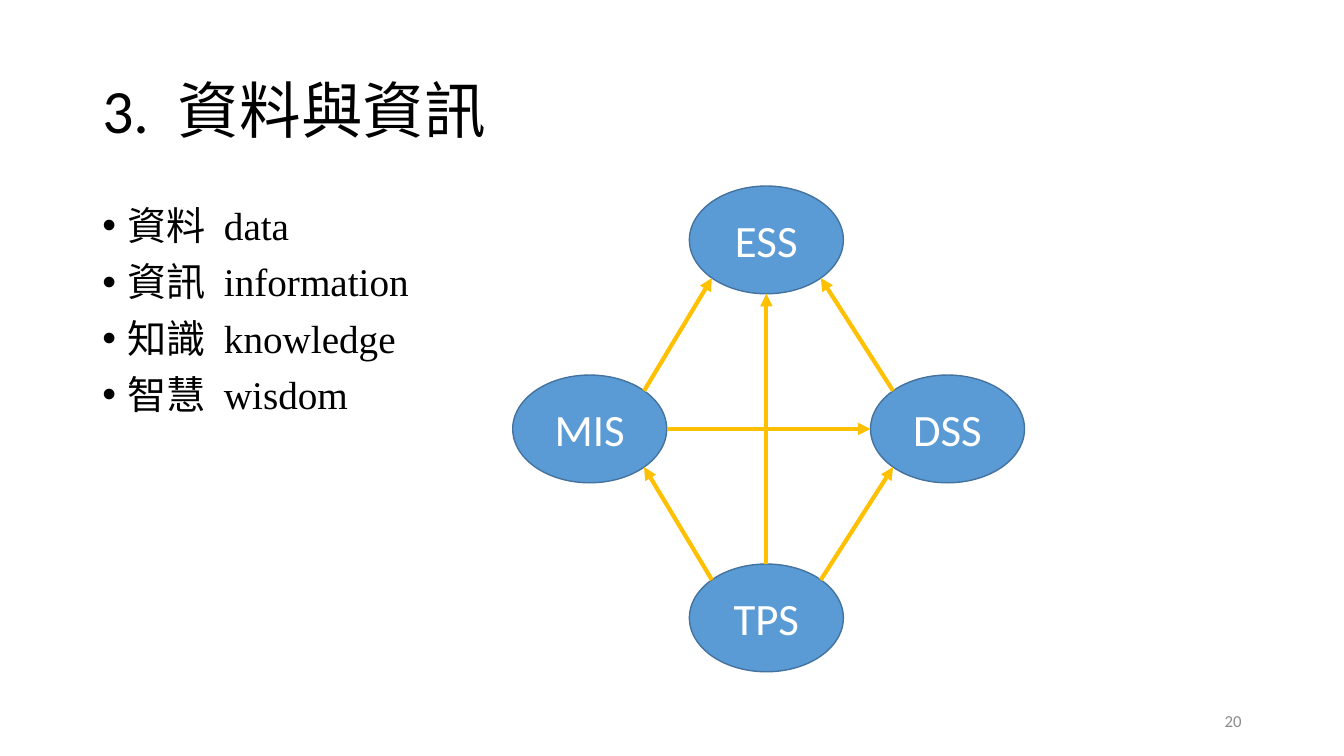
from dataclasses import dataclass
from math import hypot

from lxml.etree import SubElement
from pptx import Presentation
from pptx.dml.color import RGBColor
from pptx.enum.shapes import MSO_CONNECTOR as CONN, MSO_SHAPE as SHAPE
from pptx.enum.text import MSO_ANCHOR as ANCHOR, PP_ALIGN as ALIGN
from pptx.oxml.ns import qn
from pptx.util import Pt


@dataclass(frozen=True)
class Theme:
    sans: str = "Calibri"
    serif: str = "Times New Roman"
    ink: str = "000000"
    muted: str = "8C8C8C"
    white: str = "FFFFFF"
    node: str = "5B9BD5"
    node_edge: str = "43739E"
    arrow: str = "FFC000"
    title: int = 44
    body: int = 28
    label: int = 32
    small: int = 12


T = Theme()
NODE_W, NODE_H = 110, 77

# Centre of each system in the diagram
SYSTEMS = {
    "TPS": (547.4, 441.4),
    "ESS": (547.4, 171.4),
    "DSS": (676.8, 306.4),
    "MIS": (421.2, 306.4),
}

# Start system, end system, direction of the arrow (x, y)
FLOWS = [
    ("MIS", "DSS", (1, 0)),
    ("MIS", "ESS", (1, -1)),
    ("DSS", "ESS", (-1, -1)),
    ("TPS", "MIS", (-1, -1)),
    ("TPS", "ESS", (0, -1)),
    ("TPS", "DSS", (1, -1)),
]

TERMS = [("資料", "data"), ("資訊", "information"),
         ("知識", "knowledge"), ("智慧", "wisdom")]


def set_all(obj, values):
    for name, value in values.items():
        setattr(obj, name, value)


def add_run(p, text, font, size, color, tracking=0):
    r = p.add_run()
    r.text = text
    set_all(r.font, {"name": font, "size": Pt(size)})
    r.font.color.rgb = RGBColor.from_string(color)
    if tracking:
        r.font._element.set("spc", str(round(tracking * 100)))


def add_spaced_pair(p, first, second, font, size):
    """Two words with a widened space between them."""
    add_run(p, first, font, size, T.ink)
    add_run(p, " ", font, size, T.ink, tracking=size * 0.24)
    add_run(p, second, font, size, T.ink)


def add_text_box(s, left, top, width, height, anchor):
    tf = s.shapes.add_textbox(Pt(left), Pt(top), Pt(width), Pt(height)).text_frame
    set_all(tf, {"word_wrap": True, "vertical_anchor": anchor})
    return tf


def add_bullet(p, indent):
    pPr = p._p.get_or_add_pPr()
    pPr.set("marL", str(Pt(indent)))
    pPr.set("indent", str(-Pt(indent)))
    SubElement(pPr, qn("a:buFont"), typeface="Arial")
    SubElement(pPr, qn("a:buChar"), char="•")


def add_terms(s):
    tf = add_text_box(s, 66, 144, 300, 342.7, ANCHOR.TOP)
    for i, (term, english) in enumerate(TERMS):
        p = tf.paragraphs[0] if i == 0 else tf.add_paragraph()
        set_all(p, {"line_spacing": 0.9, "space_before": Pt(10)})
        add_bullet(p, 18)
        add_spaced_pair(p, term, english, T.serif, T.body)


def add_system(s, name, center):
    x, y = center
    sp = s.shapes.add_shape(SHAPE.OVAL, Pt(x - NODE_W / 2), Pt(y - NODE_H / 2),
                            Pt(NODE_W), Pt(NODE_H))
    sp.shadow.inherit = False
    sp.fill.solid()
    sp.fill.fore_color.rgb = RGBColor.from_string(T.node)
    sp.line.color.rgb = RGBColor.from_string(T.node_edge)
    sp.line.width = Pt(1)
    tf = sp.text_frame
    set_all(tf, {"word_wrap": True, "vertical_anchor": ANCHOR.MIDDLE})
    p = tf.paragraphs[0]
    p.alignment = ALIGN.CENTER
    add_run(p, name, T.sans, T.label, T.white)


def rim_point(name, dx, dy):
    """Point on a system's outline in the given direction."""
    x, y = SYSTEMS[name]
    reach = hypot(dx, dy)
    return Pt(x + dx / reach * NODE_W / 2), Pt(y + dy / reach * NODE_H / 2)


def add_flow(s, start, end, direction):
    dx, dy = direction
    cxn = s.shapes.add_connector(CONN.STRAIGHT, *rim_point(start, dx, dy),
                                 *rim_point(end, -dx, -dy))
    cxn.line.color.rgb = RGBColor.from_string(T.arrow)
    cxn.line.width = Pt(3)
    SubElement(cxn.line._get_or_add_ln(), qn("a:tailEnd"), type="triangle")
    SubElement(cxn._element.spPr, qn("a:effectLst"))


def main():
    prs = Presentation()
    set_all(prs, {"slide_width": Pt(960), "slide_height": Pt(540)})
    s = prs.slides.add_slide(prs.slide_layouts[6])

    # Title
    p = add_text_box(s, 66, 28.8, 828, 104.4, ANCHOR.MIDDLE).paragraphs[0]
    p.line_spacing = 0.9
    add_spaced_pair(p, "3.", "資料與資訊", T.sans, T.title)

    # Bulleted terms
    add_terms(s)

    # Slide number
    p = add_text_box(s, 678, 500.4, 216, 28.8, ANCHOR.MIDDLE).paragraphs[0]
    p.alignment = ALIGN.RIGHT
    add_run(p, "20", T.sans, T.small, T.muted)

    # Diagram of systems and flows
    for name, center in SYSTEMS.items():
        add_system(s, name, center)
    for flow in FLOWS:
        add_flow(s, *flow)

    prs.save("out.pptx")


if __name__ == "__main__":
    main()
